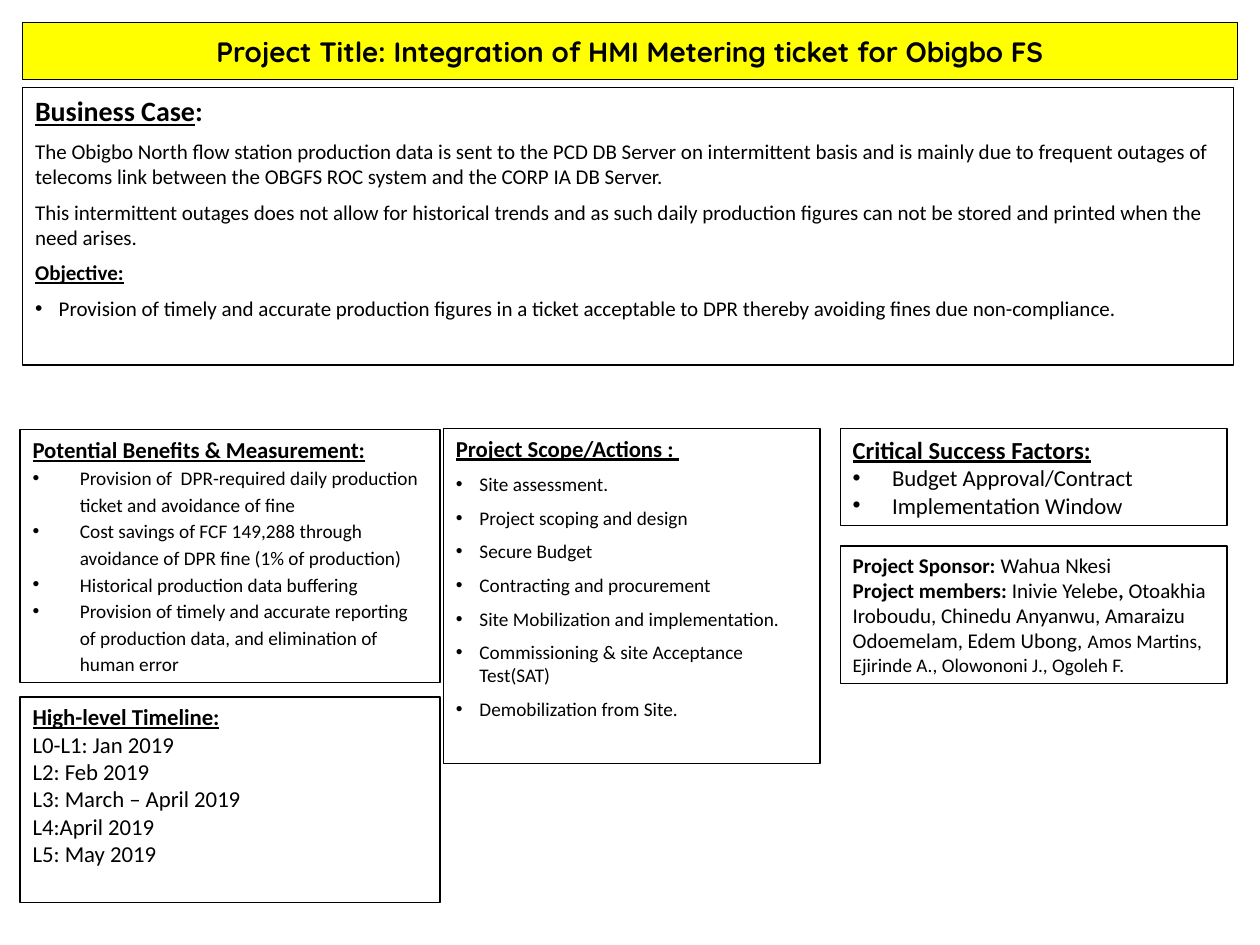
from lxml import etree
from pptx import Presentation
from pptx import util as u
from pptx.dml.color import RGBColor
from pptx.enum import shapes, text
from pptx.oxml.ns import qn

COLORS = {"ink": "000000", "banner": "FFFF00", "panel": "FFFFFF"}
LEFT, MIDDLE, RIGHT = 11.5, 253.4, 480.2
LEFT_WIDTH, MIDDLE_WIDTH, RIGHT_WIDTH = 240, 215.3, 221
ROW_TOP = 244.8


def color(name):
    return RGBColor.from_string(COLORS[name])


def add_run(paragraph, words, size=12, bold=False, underline=False, font="Calibri"):
    run = paragraph.add_run()
    run.text = words
    run.font.name = font
    run.font.size = u.Pt(size)
    run.font.bold = bold
    run.font.underline = underline
    run.font.color.rgb = color("ink")


class Board:
    """Holds the style and the current slide."""

    def __init__(self, slide):
        self.slide = slide

    def outline(self, shape, fill=None):
        if fill:
            shape.fill.solid()
            shape.fill.fore_color.rgb = color(fill)
        else:
            shape.fill.background()
        shape.line.color.rgb = color("ink")
        shape.line.width = u.Pt(0.75)

    def title(self, words, left, top, width, height):
        shape = self.slide.shapes.title
        shape.left, shape.top = u.Pt(left), u.Pt(top)
        shape.width, shape.height = u.Pt(width), u.Pt(height)
        self.outline(shape, "banner")
        frame = shape.text_frame
        frame.auto_size = text.MSO_AUTO_SIZE.NONE
        frame.vertical_anchor = text.MSO_ANCHOR.MIDDLE
        paragraph = frame.paragraphs[0]
        paragraph.alignment = text.PP_ALIGN.CENTER
        add_run(paragraph, words, size=16, bold=True, font="Quicksand")

    def panel(self, left, top, width, height, fill=None):
        """Draw an outlined box and return its text frame."""
        shape = self.slide.shapes.add_shape(
            shapes.MSO_SHAPE.RECTANGLE, u.Pt(left), u.Pt(top), u.Pt(width), u.Pt(height))
        shape.shadow.inherit = False
        self.outline(shape, fill)
        frame = shape.text_frame
        frame.word_wrap = True
        frame.vertical_anchor = text.MSO_ANCHOR.TOP
        return frame

    def paragraph(self, frame, before=0, spacing=None, indent=0):
        """Use the empty first paragraph, or add one, with a bullet if indented."""
        first = frame.paragraphs[0]
        paragraph = frame.add_paragraph() if first.runs else first
        paragraph.alignment = text.PP_ALIGN.LEFT
        if indent:
            properties = paragraph._p.get_or_add_pPr()
            properties.set("marL", str(u.Pt(indent)))
            properties.set("indent", str(-u.Pt(indent)))
            etree.SubElement(properties, qn("a:buFont"), typeface="Arial")
            etree.SubElement(properties, qn("a:buChar"), char="•")
        if before:
            paragraph.space_before = u.Pt(before)
        if spacing:
            paragraph.line_spacing = spacing
        return paragraph

    def heading(self, frame, words, size=13, before=0):
        paragraph = self.paragraph(frame, before)
        add_run(paragraph, words, size=size, bold=True, underline=True)
        return paragraph

    def lines(self, frame, items, size, **layout):
        for item in items:
            add_run(self.paragraph(frame, **layout), item, size=size)


def main():
    presentation = Presentation()
    presentation.slide_width, presentation.slide_height = u.Pt(720), u.Pt(540)
    board = Board(presentation.slides.add_slide(presentation.slide_layouts[5]))
    board.title("Project Title: Integration of HMI Metering ticket for Obigbo FS",
                13, 13, 694, 32.4)

    case = board.panel(13, 50.2, 692, 158.4, fill="panel")
    add_run(board.heading(case, "Business Case", size=16), ":", size=16, bold=True)
    board.lines(case, [
        "The Obigbo North flow station production data is sent to the PCD DB Server on "
        "intermittent basis and is mainly due to frequent outages of telecoms link between "
        "the OBGFS ROC system and the CORP IA DB Server.",
        "This intermittent outages does not allow for historical trends and as such daily "
        "production figures can not be stored and printed when the need arises.",
    ], size=12, before=6)
    board.heading(case, "Objective:", size=12, before=6)
    board.lines(case, [
        "Provision of timely and accurate production figures in a ticket acceptable to DPR "
        "thereby avoiding fines due non-compliance.",
    ], size=12, before=6, indent=13.5)

    benefits = board.panel(LEFT, 245.5, LEFT_WIDTH, 144.7, fill="panel")
    board.heading(benefits, "Potential Benefits & Measurement:")
    board.lines(benefits, [
        "Provision of  DPR-required daily production ticket and avoidance of fine",
        "Cost savings of FCF 149,288 through avoidance of DPR fine (1% of production)",
        "Historical production data buffering",
        "Provision of timely and accurate reporting of production data, and elimination of "
        "human error",
    ], size=11, spacing=1.15, indent=27)

    scope = board.panel(MIDDLE, ROW_TOP, MIDDLE_WIDTH, 191.5)
    board.heading(scope, "Project Scope/Actions : ")
    board.lines(scope, [
        "Site assessment.",
        "Project scoping and design",
        "Secure Budget",
        "Contracting and procurement",
        "Site Mobilization and implementation.",
        "Commissioning & site Acceptance Test(SAT)",
        "Demobilization from Site.",
    ], size=11, before=6, indent=13.5)

    timeline = board.panel(LEFT, 398.3, LEFT_WIDTH, 117.5)
    board.heading(timeline, "High-level Timeline:")
    board.lines(timeline, [
        "L0-L1: Jan 2019",
        "L2: Feb 2019",
        "L3: March – April 2019",
        "L4:April 2019",
        "L5: May 2019",
    ], size=13)

    factors = board.panel(RIGHT, ROW_TOP, RIGHT_WIDTH, 55.5)
    board.heading(factors, "Critical Success Factors:", size=14)
    board.lines(factors, ["Budget Approval/Contract", "Implementation Window"],
                size=13, indent=22.5)

    team = board.panel(RIGHT, 312, RIGHT_WIDTH, 78.5)
    sponsor = board.paragraph(team)
    add_run(sponsor, "Project Sponsor: ", bold=True)
    add_run(sponsor, "Wahua Nkesi")
    members = board.paragraph(team)
    add_run(members, "Project members: ", bold=True)
    add_run(members, "Inivie Yelebe")
    add_run(members, ", ", bold=True)
    add_run(members, "Otoakhia Iroboudu, Chinedu Anyanwu, Amaraizu Odoemelam, Edem Ubong, ")
    add_run(members, "Amos Martins, Ejirinde A., Olowononi J., Ogoleh F.", size=11)

    presentation.save("out.pptx")


if __name__ == "__main__":
    main()
